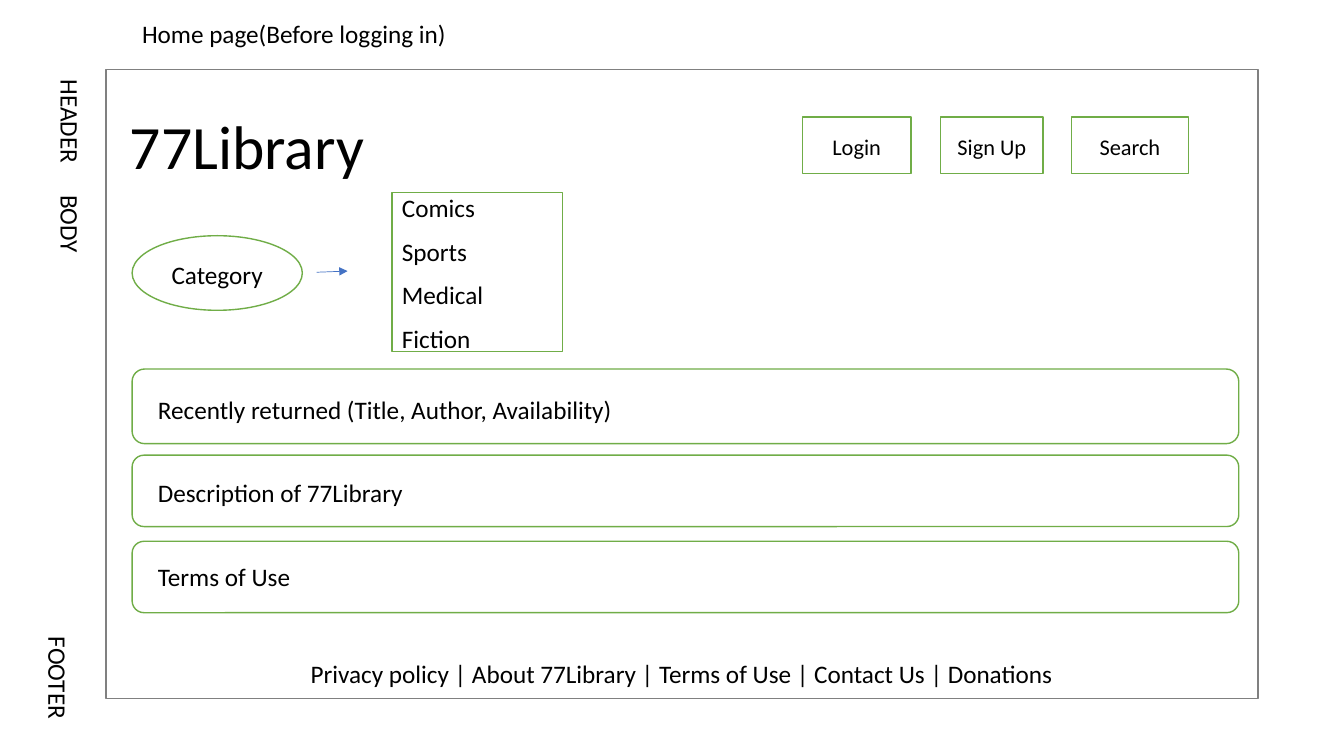
from lxml.etree import SubElement
from pptx import Presentation
from pptx.dml.color import RGBColor
from pptx.enum.shapes import MSO_CONNECTOR, MSO_SHAPE
from pptx.enum.text import MSO_ANCHOR, PP_ALIGN
from pptx.oxml.ns import qn
from pptx.util import Cm, Pt

WHITE = RGBColor(0xFF, 0xFF, 0xFF)
BLACK = RGBColor(0, 0, 0)
GRAY = RGBColor(0x80, 0x80, 0x80)
GREEN = RGBColor(0x70, 0xAD, 0x47)
BLUE = RGBColor(0x44, 0x72, 0xC4)

deck = Presentation()
deck.slide_width, deck.slide_height = Cm(33.87), Cm(19.05)
slide = deck.slides.add_slide(deck.slide_layouts[5])
shapes = slide.shapes


def write(shape, text, size=18, align=PP_ALIGN.LEFT, anchor=MSO_ANCHOR.TOP):
    frame = shape.text_frame
    frame.word_wrap = True
    frame.vertical_anchor = anchor
    frame.text = text
    for para in frame.paragraphs:
        para.alignment = align
        para.font.name = "Calibri"
        para.font.size = Pt(size)
        para.font.color.rgb = BLACK
        if anchor == MSO_ANCHOR.MIDDLE:
            para.line_spacing = 1.07
            para.space_after = Pt(8)


def draw(kind, left, top, width, height, color=GREEN):
    shape = shapes.add_shape(kind, Cm(left), Cm(top), Cm(width), Cm(height))
    shape.shadow.inherit = False
    shape.fill.solid()
    shape.fill.fore_color.rgb = WHITE
    shape.line.color.rgb = color
    shape.line.width = Pt(1)
    return shape


# Page frame with the site name on top of it
page = draw(MSO_SHAPE.RECTANGLE, 2.67, 1.75, 29.03, 15.85, GRAY)
title = shapes.title
title.left, title.top, title.width, title.height = Cm(3.02), Cm(2.59), Cm(7.54), Cm(2.13)
write(title, "77Library", 44)
page._element.addnext(title._element)

# Header buttons
for text, left, width in [("Login", 20.22, 2.74), ("Sign Up", 23.7, 2.59), ("Search", 27, 2.95)]:
    button = draw(MSO_SHAPE.RECTANGLE, left, 2.95, width, 1.42)
    write(button, text, 16, PP_ALIGN.CENTER, MSO_ANCHOR.MIDDLE)

# Category and its list
oval = draw(MSO_SHAPE.OVAL, 3.33, 5.94, 4.29, 1.88)
write(oval, "Category", 18, PP_ALIGN.CENTER, MSO_ANCHOR.MIDDLE)
menu = draw(MSO_SHAPE.RECTANGLE, 9.88, 4.85, 4.29, 4.01)
write(menu, "Comics\nSports\nMedical\nFiction", anchor=MSO_ANCHOR.MIDDLE)

arrow = shapes.add_connector(MSO_CONNECTOR.STRAIGHT, Cm(7.98), Cm(6.86), Cm(8.76), Cm(6.83))
arrow.line.color.rgb = BLUE
arrow.line.width = Pt(0.5)
SubElement(arrow.line._get_or_add_ln(), qn("a:tailEnd"), type="triangle")
SubElement(arrow._element.spPr, qn("a:effectLst"))

# Body panels
for row, height in enumerate([1.88, 1.8, 1.8]):
    draw(MSO_SHAPE.ROUNDED_RECTANGLE, 3.33, 9.3 + 2.17 * row, 27.89, height)

# Horizontal labels
for text, left, top, width, align in [
    ("Home page(Before logging in)", 3.33, 0.33, 10.11, PP_ALIGN.LEFT),
    ("Recently returned (Title, Author, Availability)", 3.73, 9.8, 25.02, PP_ALIGN.LEFT),
    ("Description of 77Library", 3.73, 11.91, 8.53, PP_ALIGN.LEFT),
    ("Terms of Use", 3.73, 14.02, 8.53, PP_ALIGN.LEFT),
    ("Privacy policy | About 77Library | Terms of Use | Contact Us | Donations",
     3.96, 16.46, 26.44, PP_ALIGN.CENTER),
]:
    label = shapes.add_textbox(Cm(left), Cm(top), Cm(width), Cm(1.02))
    write(label, text, align=align)

# Vertical section names
for text, left, top, height in [
    ("HEADER", 1.02, 1.75, 3.1),
    ("BODY", 1.02, 4.67, 10.72),
    ("FOOTER", 0.71, 15.8, 2.97),
]:
    label = shapes.add_textbox(Cm(left), Cm(top), Cm(1.27), Cm(height))
    write(label, text)
    label.text_frame._txBody.bodyPr.set("vert", "eaVert")

deck.save("out.pptx")
